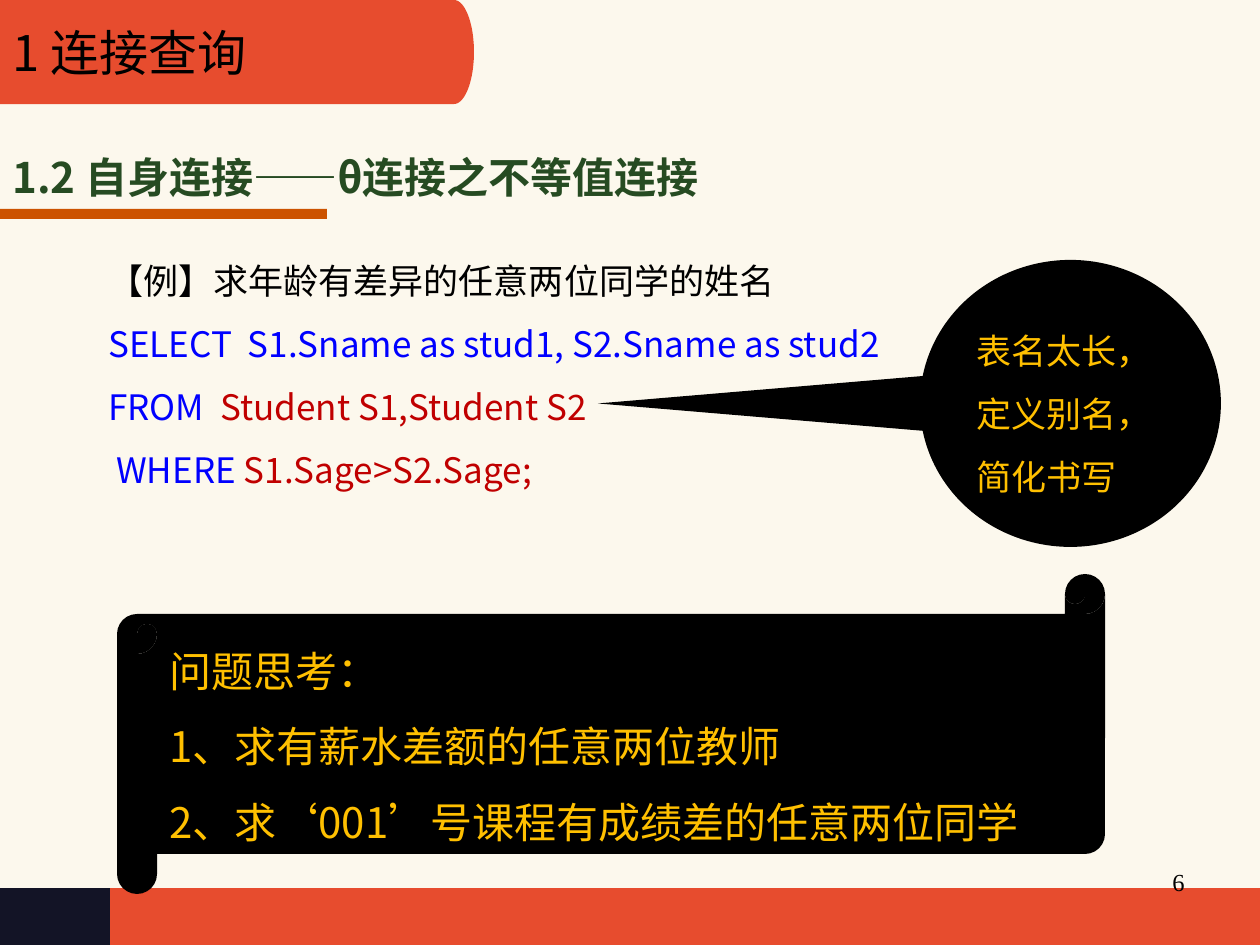
from math import cos, pi, sin

from lxml.etree import SubElement
from pptx import Presentation
from pptx.dml.color import RGBColor
from pptx.enum.shapes import MSO_SHAPE
from pptx.enum.text import MSO_ANCHOR, PP_ALIGN
from pptx.oxml.ns import qn
from pptx.util import Pt

EMU_PER_PX = 914400 / 126
SANS = "Noto Sans CJK SC"
BLACK, BLUE, RED, GOLD, GREEN = "000000", "0000FF", "C00000", "FFC000", "264B22"
ORANGE, NAVY, RUST, CREAM = "E74C2E", "131426", "CC5300", "FCF8ED"


def px(length):
    """Turn pixels into EMU."""
    return round(length * EMU_PER_PX)


def color(code):
    """Turn a hex string into a colour."""
    return RGBColor.from_string(code)


def paint(shape, code):
    """Give a shape a flat fill without line or shadow."""
    shape.fill.solid()
    shape.fill.fore_color.rgb = color(code)
    shape.line.fill.background()
    shape.shadow.inherit = False


def add_block(page, kind, bounds, code, adjustments=()):
    """Add a filled preset shape."""
    shape = page.shapes.add_shape(kind, *map(px, bounds))
    paint(shape, code)
    for index, value in enumerate(adjustments):
        shape.adjustments[index] = value
    return shape


def add_title_tab(page, width, height, bulge):
    """Add the title tab with its elliptical right end."""
    radius = height / 2
    angles = [-pi / 2 + pi * step / 40 for step in range(41)]
    curve = [(px(width - bulge + bulge * cos(angle)), px(radius + radius * sin(angle)))
             for angle in angles]
    builder = page.shapes.build_freeform(0, 0, scale=1.0)
    builder.add_line_segments(curve + [(0, px(height))], close=True)
    tab = builder.convert_to_shape()
    paint(tab, ORANGE)
    return tab


def add_span(para, text, code, size, font=SANS, bold=False):
    """Add a formatted run for Latin and East Asian letters."""
    span = para.add_run()
    span.text = text
    for name, value in {"size": Pt(size), "bold": bold, "name": font}.items():
        setattr(span.font, name, value)
    span.font.color.rgb = color(code)
    SubElement(span.font._element, qn("a:ea"), typeface=font)


def write(shape, paragraphs, size, anchor=MSO_ANCHOR.TOP, align=PP_ALIGN.LEFT,
          spacing=None, **style):
    """Fill a shape with paragraphs given as lists of text and colour."""
    frame = shape.text_frame
    for name, value in {"word_wrap": True, "vertical_anchor": anchor}.items():
        setattr(frame, name, value)
    for index, spans in enumerate(paragraphs):
        para = frame.add_paragraph() if index else frame.paragraphs[0]
        for name, value in {"alignment": align, "line_spacing": spacing}.items():
            setattr(para, name, value)
        for text, code in spans:
            add_span(para, text, code, size, **style)


def add_text(page, bounds, paragraphs, size, **style):
    """Add a text box."""
    box = page.shapes.add_textbox(*map(px, bounds))
    write(box, paragraphs, size, **style)


def main():
    """Build the slide about non-equal self joins."""
    deck = Presentation()
    deck.slide_width, deck.slide_height = px(1260), px(945)
    page = deck.slides.add_slide(deck.slide_layouts[6])
    page.background.fill.solid()
    page.background.fill.fore_color.rgb = color(CREAM)

    for bounds, code in [
        ((0, 888, 1260, 57), ORANGE),
        ((0, 888, 110, 57), NAVY),
        ((0, 209, 327, 10), RUST),
    ]:
        add_block(page, MSO_SHAPE.RECTANGLE, bounds, code)
    add_text(page, (903, 861, 294, 66), [[("6", BLACK)]], 14,
             align=PP_ALIGN.RIGHT, font="Times New Roman")

    tab = add_title_tab(page, 474, 104, 20)
    write(tab, [[("1 连接查询", BLACK)]], 28, anchor=MSO_ANCHOR.MIDDLE)
    add_text(page, (0, 145, 769, 63), [[("1.2 自身连接——θ连接之不等值连接", GREEN)]],
             24, bold=True)

    query = [
        [("【例】求年龄有差异的任意两位同学的姓名", BLACK)],
        [("SELECT  S1.Sname as stud1, S2.Sname as stud2", BLUE)],
        [("FROM  ", BLUE), ("Student S1,Student S2", RED)],
        [(" ", BLACK), ("WHERE ", BLUE), ("S1.Sage>S2.Sage;", RED)],
    ]
    add_text(page, (96, 232, 919, 265), query, 20, spacing=1.5)

    callout = add_block(page, MSO_SHAPE.OVAL_CALLOUT, (920, 260, 301, 287), BLACK,
                        (-1.57, 0))
    write(callout, [[("表名太长，定义别名，简化书写", GOLD)]], 20, spacing=1.5)

    scroll = add_block(page, MSO_SHAPE.HORIZONTAL_SCROLL, (117, 574, 988, 320), BLACK)
    questions = ["问题思考：", "1、求有薪水差额的任意两位教师",
                 "2、求‘001’号课程有成绩差的任意两位同学"]
    write(scroll, [[(question, GOLD)] for question in questions], 24, spacing=1.5)

    deck.save("out.pptx")


if __name__ == "__main__":
    main()
